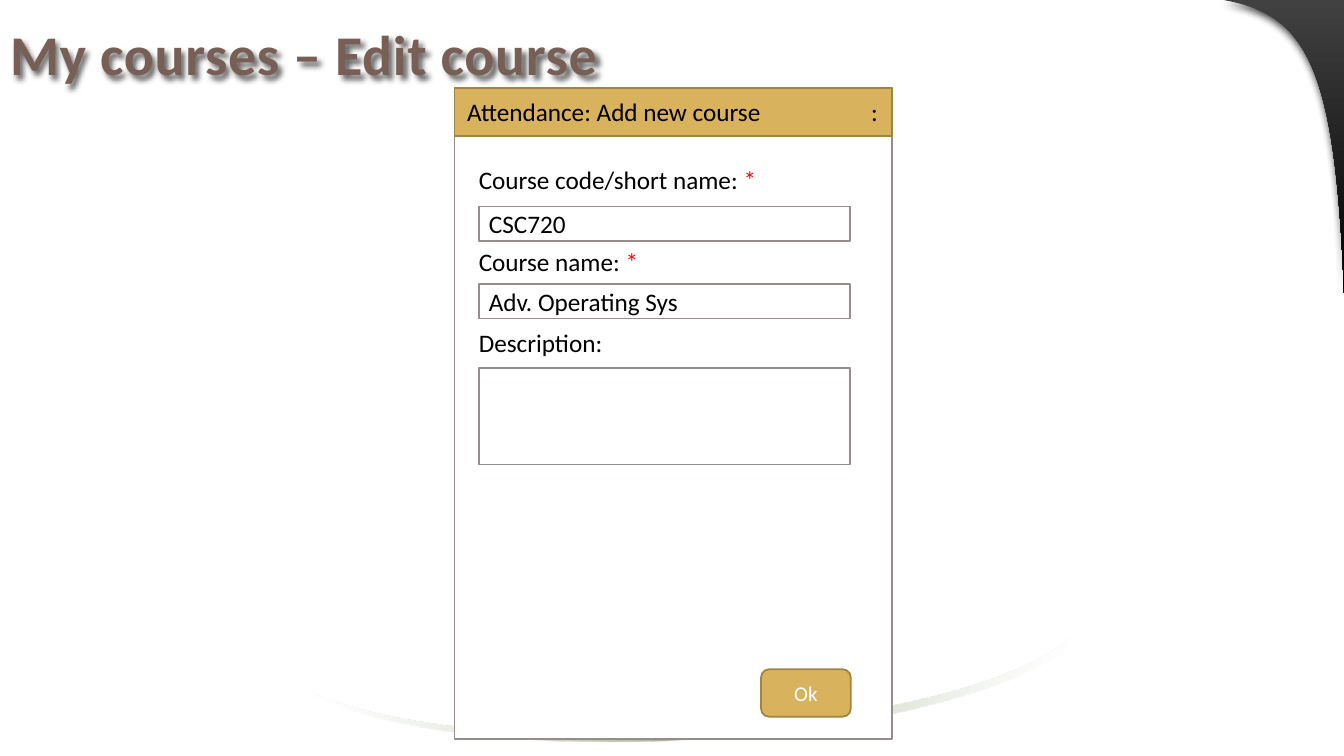
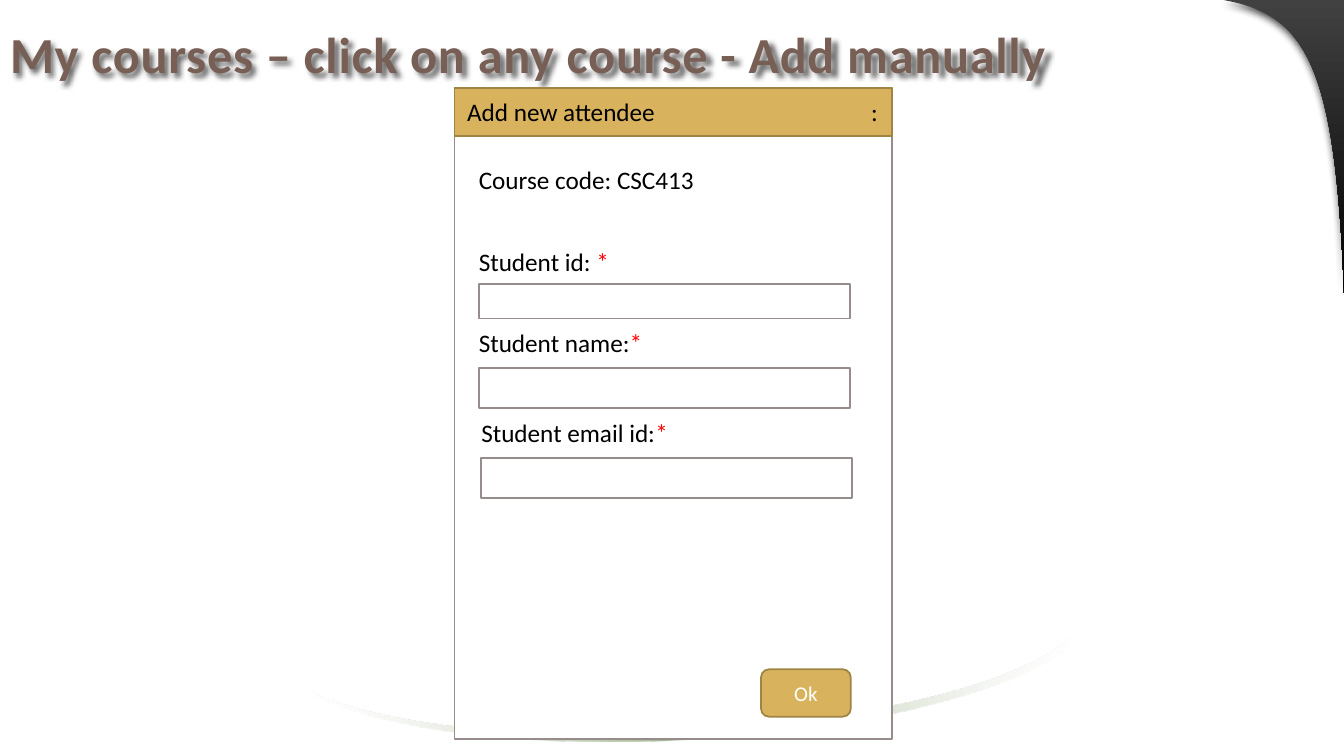
from dataclasses import dataclass

from lxml.etree import SubElement as Sub
from pptx import Presentation
from pptx.dml.color import RGBColor as Rgb
from pptx.enum.shapes import MSO_SHAPE as Kind
from pptx.enum.text import MSO_ANCHOR as Anchor, PP_ALIGN as Align
from pptx.oxml.ns import qn
from pptx.util import Inches, Pt

COLS, ROWS = 160, 90
WIDE, HIGH = Inches(13.333), Inches(7.5)


@dataclass(frozen=True)
class Theme:
    font: str = "Calibri"
    white: str = "FFFFFF"
    ink: str = "000000"
    coal: str = "414141"
    brown: str = "775F55"
    red: str = "FF0000"
    gold: str = "D8B25C"
    rim: str = "A08444"
    edge: str = "968C8C"
    leaf: str = "9CB084"
    body: float = 18
    small: float = 15
    line: float = 1.25


@dataclass(frozen=True)
class Box:
    """Left, top, width and height in grid columns and rows."""
    x: float
    y: float
    w: float
    h: float

    def emu(self) -> tuple[int, ...]:
        return col(self.x), row(self.y), col(self.w), row(self.h)


@dataclass(frozen=True)
class Field:
    label: str
    step: float             # place on the ladder of labels
    must: bool = True       # red star after the label
    tall: float = 0         # rows of the input, 0 for none
    text: str = ""
    gap: float = 5.04       # rows from label top to input top
    shift: float = 0


@dataclass(frozen=True)
class Page:
    title: str
    size: float
    head: str
    fields: tuple[Field, ...]


T = Theme()
Spot = tuple[float, float]

# Grid places shared by the slides
TITLE = Box(0, 0, 135.84, 12.72)
PANEL = Box(54.12, 10.44, 52.08, 77.52)
HEAD = Box(PANEL.x, PANEL.y, PANEL.w, 5.76)
OK = Box(90.6, 79.68, 10.68, 5.64)
LABEL = Box(55.8, 19.32, 38, 4.08)
INPUT = Box(57, 0, 44.16, 4.08)
PITCH = 9.72
INSET = 1.5

# Bezier control points of the backdrop
CORNER = [(145.68, 0), (155.4, 1.8), (159, 7.44), (160, 34.92)]
OUTER = [(127.44, 76.8), (115.2, 87.6), (60, 93), (37.44, 82.8)]
INNER = [(37.44, 82.56), (60, 91.68), (115.2, 86.64), (127.44, 75.96)]

PAGES = (
    Page("My courses – Edit course", 40, "Attendance: Add new course", (
        Field("Course code/short name: ", 0, tall=4.08, text="CSC720", gap=5.28),
        Field("Course name: ", 1, tall=4.08, text="Adv. Operating Sys", gap=4.8),
        Field("Description:", 2, must=False, tall=11.52))),
    Page("My courses – click on any course - Add manually", 36,
         "Add new attendee", (
             Field("Course code: CSC413", 0, must=False),
             Field("Student id: ", 1, tall=4.08, gap=4.8),
             Field("Student name:", 2, tall=4.8),
             Field("Student email id:", 3.1, tall=4.8, shift=0.3))),
)


def col(n: float) -> int:
    return round(WIDE * n / COLS)


def row(n: float) -> int:
    return round(HIGH * n / ROWS)


# Text
def write(shape, text: str, *, size: float = T.body, color: str = T.ink,
          bold: bool = False, align=Align.LEFT, star: str = "",
          inset: float = 1.2, space: int = 0):
    frame = shape.text_frame
    frame.word_wrap = True
    frame.vertical_anchor = Anchor.MIDDLE
    frame.margin_left = frame.margin_right = col(inset)
    frame.margin_top = frame.margin_bottom = 0
    para = frame.paragraphs[0]
    para.alignment = align
    for part, tint in ((text, color), (star, T.red)):
        if part:
            run = para.add_run()
            run.text = part
            font = run.font
            font.name, font.size, font.bold = T.font, Pt(size), bold
            font.color.rgb = Rgb.from_string(tint)
            if space:
                font._element.set("spc", str(space))
    return para


# Shapes
def block(slide, box: Box, fill: str = T.white, line: str = T.edge,
          kind=Kind.RECTANGLE):
    shape = slide.shapes.add_shape(kind, *box.emu())
    shape.shadow.inherit = False
    shape.fill.solid()
    shape.fill.fore_color.rgb = Rgb.from_string(fill)
    shape.line.color.rgb = Rgb.from_string(line)
    shape.line.width = Pt(T.line)
    return shape


def tint(node, color: str, alpha: int) -> None:
    paint = Sub(node, qn("a:srgbClr"), val=color)
    if alpha < 100:
        Sub(paint, qn("a:alpha"), val=str(alpha * 1000))


def shade(shape, alpha: int, blur: float, dist: float, turn: int) -> None:
    shape.shadow.inherit = False
    glow = shape._element.spPr.find(qn("a:effectLst"))
    cast = Sub(glow, qn("a:outerShdw"), blurRad=str(Pt(blur)),
               dist=str(Pt(dist)), dir=str(turn * 60000),
               algn="tl", rotWithShape="0")
    tint(cast, T.ink, alpha)


def blend(shape, stops: list[tuple[int, str, int]], turn: int) -> None:
    shape.fill.gradient()
    grad = shape._element.spPr.find(qn("a:gradFill"))
    for node in list(grad):
        grad.remove(node)
    ramp = Sub(grad, qn("a:gsLst"))
    for pos, color, alpha in stops:
        tint(Sub(ramp, qn("a:gs"), pos=str(pos * 1000)), color, alpha)
    Sub(grad, qn("a:lin"), ang=str(turn * 60000), scaled="0")


def curve(ends: list[Spot], count: int = 32) -> list[Spot]:
    spots = []
    for i in range(count + 1):
        t = i / count
        u = 1 - t
        mix = (u ** 3, 3 * u * u * t, 3 * u * t * t, t ** 3)
        x, y = (sum(m * p[k] for m, p in zip(mix, ends)) for k in (0, 1))
        spots.append((x, y))
    return spots


def trace(slide, spots: list[Spot]):
    first, *rest = [(col(x), row(y)) for x, y in spots]
    pen = slide.shapes.build_freeform(*first)
    pen.add_line_segments(rest, close=True)
    shape = pen.convert_to_shape()
    shape.shadow.inherit = False
    shape.line.fill.background()
    return shape


# Slide parts
def scene(slide) -> None:
    swoosh = trace(slide, curve(OUTER) + curve(INNER))
    blend(swoosh, [(0, T.white, 30), (50, T.leaf, 100), (100, T.white, 30)], 0)
    corner = trace(slide, curve(CORNER) + [(COLS, 0)])
    blend(corner, [(0, T.coal, 100), (100, T.ink, 100)], 90)
    shade(corner, 75, 6, 3, 90)


def title(slide, page: Page) -> None:
    shape = slide.shapes.add_textbox(*TITLE.emu())
    write(shape, page.title, size=page.size, color=T.brown, bold=True, space=50)
    shade(shape, 60, 4, 3, 45)


def panel(slide, head: str) -> None:
    block(slide, PANEL)
    bar = block(slide, HEAD, T.gold, T.rim)
    para = write(bar, f"{head}\t:", inset=INSET)
    tabs = Sub(para._p.get_or_add_pPr(), qn("a:tabLst"))
    Sub(tabs, qn("a:tab"), pos=str(col(HEAD.w - 2 * INSET - 0.2)), algn="r")
    key = block(slide, OK, T.gold, T.rim, Kind.ROUNDED_RECTANGLE)
    write(key, "Ok", size=T.small, color=T.white, align=Align.CENTER)


def entry(slide, field: Field) -> None:
    top = LABEL.y + field.step * PITCH
    spot = Box(LABEL.x + field.shift, top, LABEL.w, LABEL.h)
    label = slide.shapes.add_textbox(*spot.emu())
    write(label, field.label, star="*" if field.must else "")
    if field.tall:
        slot = block(slide, Box(INPUT.x + field.shift, top + field.gap,
                                INPUT.w, field.tall))
        if field.text:
            write(slot, field.text)


def main() -> None:
    deck = Presentation()
    deck.slide_width, deck.slide_height = WIDE, HIGH
    for page in PAGES:
        slide = deck.slides.add_slide(deck.slide_layouts[6])
        scene(slide)
        title(slide, page)
        panel(slide, page.head)
        for field in page.fields:
            entry(slide, field)
    deck.save("out.pptx")


if __name__ == "__main__":
    main()
